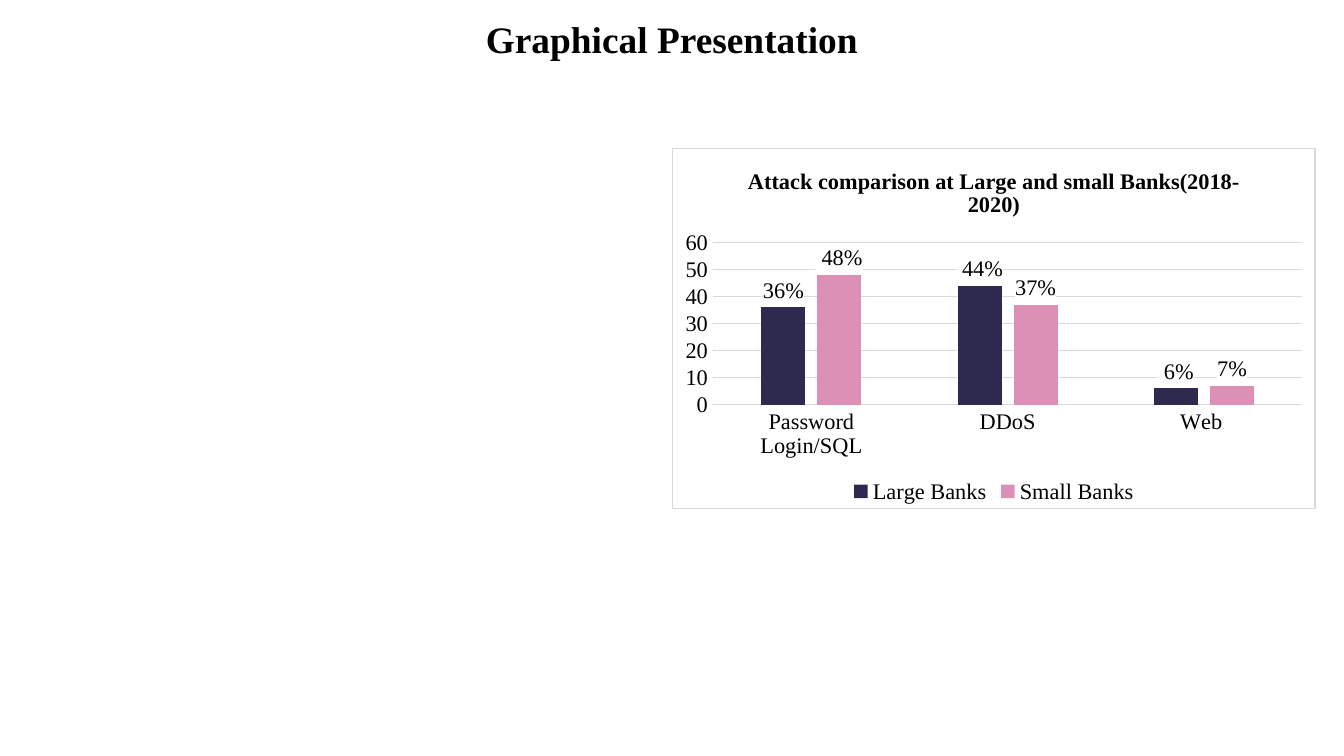
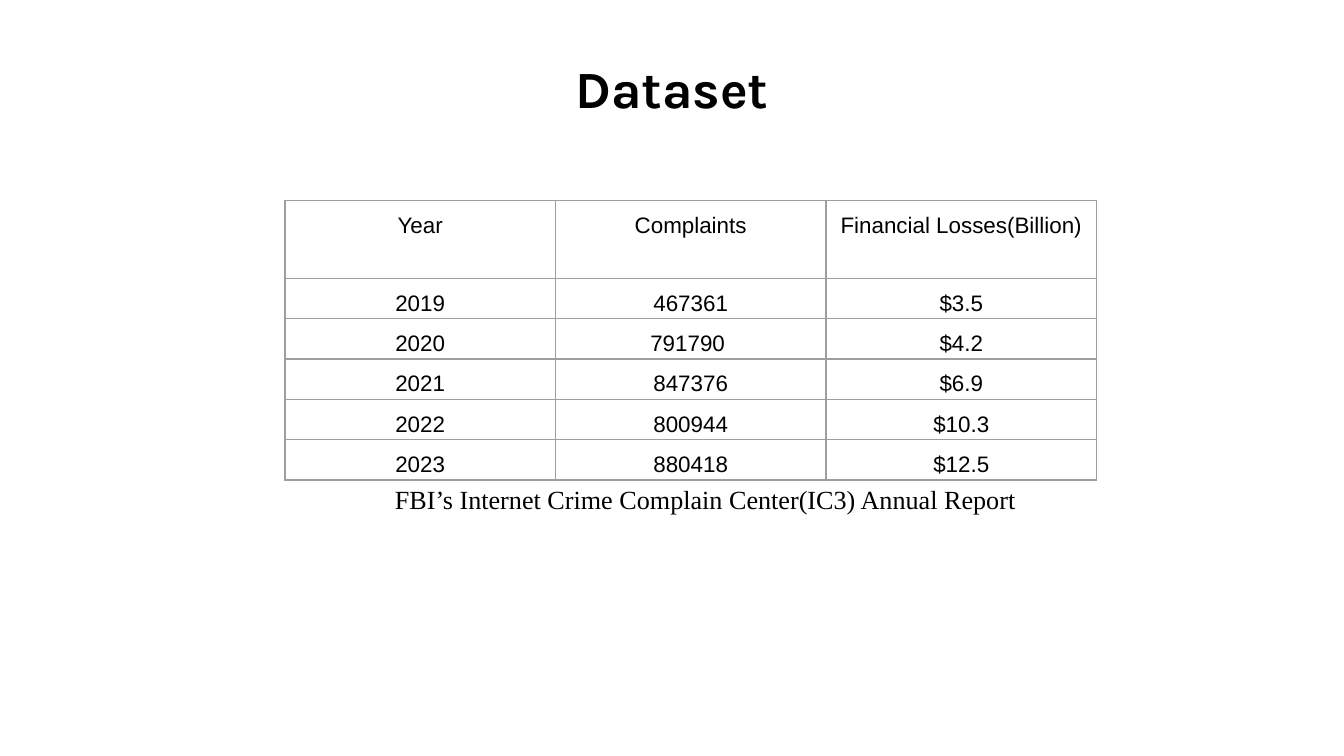
"""Build two slides: a chart of bank attacks and a table of complaints."""
from lxml.etree import SubElement
from pptx import Presentation
from pptx.chart.data import CategoryChartData as ChartData
from pptx.dml.color import RGBColor
from pptx.enum.chart import XL_CHART_TYPE as Kind
from pptx.enum.chart import XL_LABEL_POSITION as Spot
from pptx.enum.chart import XL_LEGEND_POSITION as Side
from pptx.enum.chart import XL_TICK_MARK as Tick
from pptx.enum.text import PP_ALIGN as Align
from pptx.oxml import parse_xml
from pptx.oxml.ns import nsdecls, qn
from pptx.util import Inches, Pt

COLORS = {"black": "000000", "white": "FFFFFF", "grid": "D9D9D9",
          "border": "9E9E9E", "large": "2E294E", "small": "DD90B6"}
SERIF, SANS, HEAD = "Times New Roman", "Arial", "Karla"

CHART_TITLE = "Attack comparison at Large and small Banks(2018-2020)"
ATTACKS = ["Password Login/SQL", "DDoS", "Web "]
BANKS = [("Large Banks", "large", [36, 44, 6], ["36%", " 44%", " 6%"]),
         ("Small Banks", "small", [48, 37, 7], [" 48%", "37%", "7%"])]
LOSSES = [
    ("Year", "Complaints", "Financial Losses(Billion)"),
    ("2019", "467361", "$3.5"),
    ("2020", "791790 ", "$4.2"),
    ("2021", "847376", "$6.9"),
    ("2022", "800944", "$10.3"),
    ("2023", "880418", "$12.5"),
]
SOURCE = "FBI’s Internet Crime Complain Center(IC3) Annual Report"


def rgb(key):
    return RGBColor.from_string(COLORS[key])


def style(font, name, size, bold=False):
    font.name, font.size, font.bold = name, Pt(size), bold
    font.color.rgb = rgb("black")


def stroke(line, key):
    line.color.rgb = rgb(key)
    line.width = Pt(0.75)


def box_xml(fill, edge=None):
    """Return a chart shape style with a fill and an optional edge."""
    line = ""
    if edge:
        line = (f'<a:ln w="{Pt(0.75)}"><a:solidFill>'
                f'<a:srgbClr val="{COLORS[edge]}"/></a:solidFill></a:ln>')
    return parse_xml(
        f'<c:spPr {nsdecls("c", "a")}><a:solidFill>'
        f'<a:srgbClr val="{COLORS[fill]}"/></a:solidFill>{line}</c:spPr>')


def add_text(slide, text, spot, name, size, bold=False, align=Align.LEFT):
    frame = slide.shapes.add_textbox(*map(Inches, spot)).text_frame
    frame.word_wrap = True
    frame.text = text
    para = frame.paragraphs[0]
    para.alignment = align
    style(para.runs[0].font, name, size, bold)
    return frame


def add_title(slide, text, top, name, size):
    frame = add_text(slide, text, (0.5, top, 9, 0.63), name, size,
                     True, Align.CENTER)
    frame.margin_top = frame.margin_bottom = Inches(0.1)


def add_chart(slide):
    data = ChartData()
    data.categories = ATTACKS
    for name, _, vals, _ in BANKS:
        data.add_series(name, vals)
    spot = map(Inches, (5, 1.1, 4.79, 2.69))
    chart = slide.shapes.add_chart(Kind.COLUMN_CLUSTERED, *spot, data).chart
    style(chart.font, SERIF, 12)
    chart.element.find(qn("c:chart")).addnext(box_xml("white", "grid"))
    title = chart.chart_title
    title.text_frame.text = CHART_TITLE
    title.include_in_layout = False
    style(title.text_frame.paragraphs[0].runs[0].font, SERIF, 12, True)
    chart.has_legend = True
    chart.legend.position = Side.BOTTOM
    chart.legend.include_in_layout = False
    style_axes(chart)
    plot = chart.plots[0]
    plot.gap_width, plot.overlap = 219, -27
    plot.vary_by_categories = False
    for series, (_, key, _, marks) in zip(plot.series, BANKS):
        series.format.fill.solid()
        series.format.fill.fore_color.rgb = rgb(key)
        for i, mark in enumerate(marks):
            add_label(series.points[i].data_label, mark)


def style_axes(chart):
    cats, vals = chart.category_axis, chart.value_axis
    for axis in (cats, vals):
        axis.major_tick_mark = axis.minor_tick_mark = Tick.NONE
    stroke(cats.format.line, "grid")
    vals.format.line.fill.background()
    stroke(vals.major_gridlines.format.line, "grid")
    vals.minimum_scale, vals.maximum_scale, vals.major_unit = 0, 60, 10


def add_label(label, text):
    frame = label.text_frame
    frame.text = text
    style(frame.paragraphs[0].runs[0].font, SERIF, 12)
    label.position = Spot.OUTSIDE_END
    rich = frame.paragraphs[0]._p.getparent()
    rich.getparent().addnext(box_xml("white"))


def set_border(cell):
    props = cell._tc.get_or_add_tcPr()
    for i, edge in enumerate(("a:lnL", "a:lnR", "a:lnT", "a:lnB")):
        line = SubElement(props, qn(edge), w=str(Pt(0.75)))
        fill = SubElement(line, qn("a:solidFill"))
        SubElement(fill, qn("a:srgbClr"), val=COLORS["border"])
        props.insert(i, line)


def fill_cell(cell, text):
    cell.fill.background()
    set_border(cell)
    cell.margin_left = cell.margin_right = Inches(0.07)
    cell.margin_top = cell.margin_bottom = 0
    cell.text_frame.text = text
    para = cell.text_frame.paragraphs[0]
    para.alignment = Align.CENTER
    para.line_spacing, para.space_after = 1.5, Pt(8)
    style(para.runs[0].font, SANS, 12)
    SubElement(para._p, qn("a:endParaRPr"), sz="1200")


def add_table(slide):
    spot = map(Inches, (2.12, 1.49, 6.04, 1.96))
    table = slide.shapes.add_table(len(LOSSES), len(LOSSES[0]), *spot).table
    table.first_row = table.horz_banding = False
    for r, row in enumerate(LOSSES):
        table.rows[r].height = Inches(0.27 if r else 0.58)
        for c, text in enumerate(row):
            fill_cell(table.cell(r, c), text)


def main():
    deck = Presentation()
    deck.slide_width = Inches(10)
    deck.slide_height = deck.slide_width * 9 // 16
    blank = deck.slide_layouts[6]

    graph = deck.slides.add_slide(blank)
    add_title(graph, "Graphical Presentation", 0.02, SERIF, 20)
    add_chart(graph)

    losses = deck.slides.add_slide(blank)
    add_title(losses, "Dataset", 0.32, HEAD, 28)
    add_table(losses)
    add_text(losses, SOURCE, (2.84, 3.55, 5, 0.34), SERIF, 14)

    deck.save("out.pptx")


if __name__ == "__main__":
    main()
